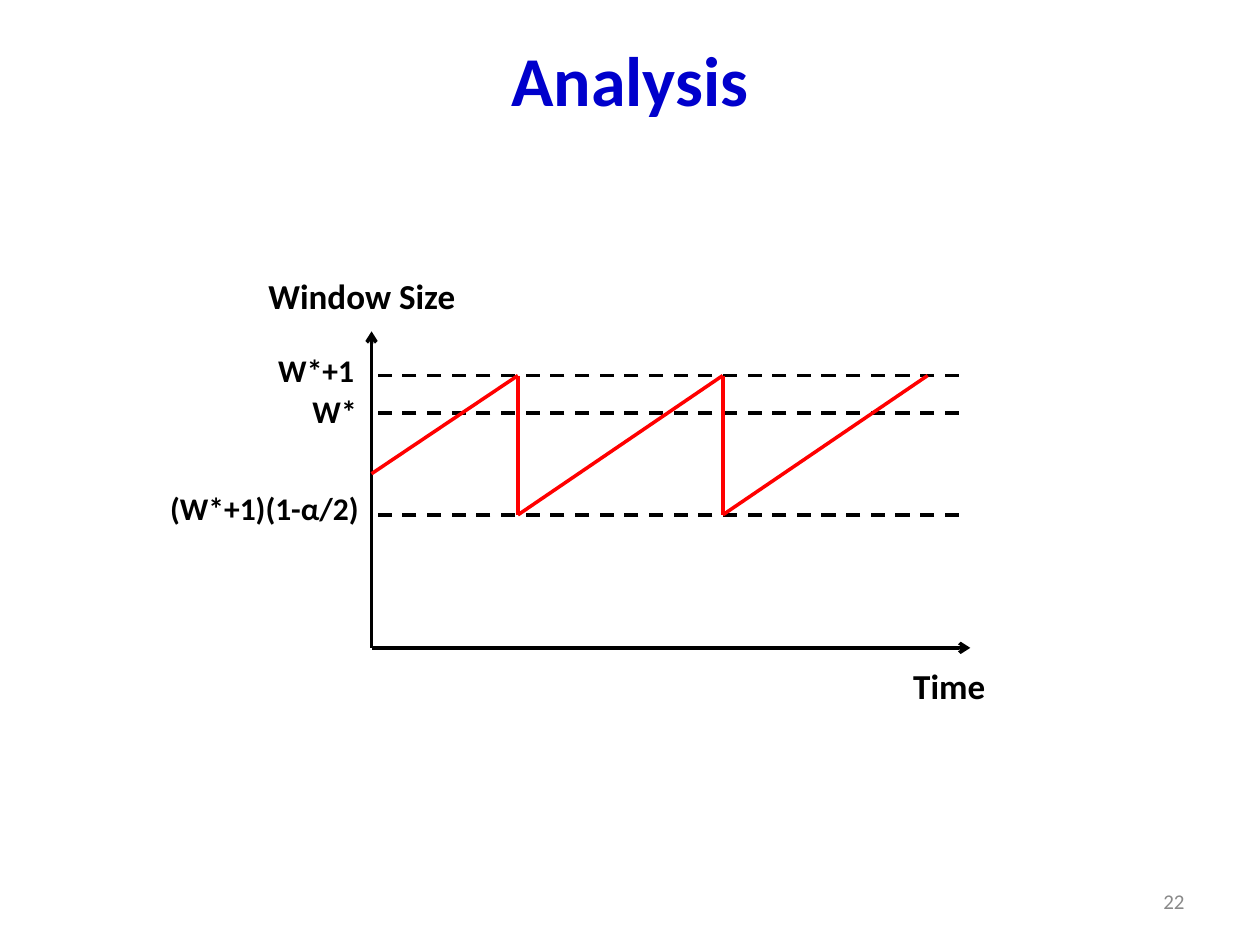
from dataclasses import dataclass
from itertools import pairwise

from lxml.etree import SubElement
from pptx import Presentation
from pptx.dml.color import RGBColor
from pptx.enum.dml import MSO_LINE_DASH_STYLE as Dash
from pptx.enum.shapes import MSO_CONNECTOR as Connector
from pptx.enum.text import MSO_ANCHOR as Anchor, PP_ALIGN as Align
from pptx.oxml.ns import qn
from pptx.shapes.base import BaseShape
from pptx.shapes.shapetree import GroupShapes
from pptx.util import Cm, Pt


@dataclass(frozen=True)
class Theme:
    font: str = "Calibri"
    title: RGBColor = RGBColor(0x00, 0x00, 0xCC)
    ink: RGBColor = RGBColor(0x00, 0x00, 0x00)
    window: RGBColor = RGBColor(0xFF, 0x00, 0x00)
    muted: RGBColor = RGBColor(0x89, 0x89, 0x89)
    title_size: int = 40
    axis_size: int = 20
    level_size: int = 18
    number_size: int = 12
    stroke: int = 2


THEME = Theme()


@dataclass(frozen=True)
class Label:
    text: str
    left: float
    top: float
    width: float
    height: float
    size: int
    color: RGBColor = THEME.ink
    bold: bool = True
    align: Align = Align.LEFT
    anchor: Anchor = Anchor.TOP


@dataclass(frozen=True)
class Line:
    start: tuple[float, float]
    end: tuple[float, float]
    color: RGBColor = THEME.ink
    dashed: bool = False
    arrow: bool = False


def write_label(box: BaseShape, label: Label) -> None:
    places = {"left": label.left, "top": label.top, "width": label.width, "height": label.height}
    for name, value in places.items():
        setattr(box, name, Cm(value))
    frame = box.text_frame
    frame.word_wrap = True
    frame.vertical_anchor = label.anchor
    para = frame.paragraphs[0]
    para.alignment = label.align
    span = para.add_run()
    span.text = label.text
    formats = {"name": THEME.font, "size": Pt(label.size), "bold": label.bold}
    for name, value in formats.items():
        setattr(span.font, name, value)
    span.font.color.rgb = label.color


def add_label(shapes: GroupShapes, label: Label) -> None:
    write_label(shapes.add_textbox(0, 0, 0, 0), label)


def add_line(shapes: GroupShapes, line: Line) -> None:
    points = [Cm(value) for value in (*line.start, *line.end)]
    connector = shapes.add_connector(Connector.STRAIGHT, *points)
    connector.line.width = Pt(THEME.stroke)
    connector.line.color.rgb = line.color
    if line.dashed:
        connector.line.dash_style = Dash.DASH
    properties = connector._element.spPr
    if line.arrow:
        SubElement(properties.find(qn("a:ln")), qn("a:tailEnd"), type="arrow")
    SubElement(properties, qn("a:effectLst"))


ORIGIN = (7.49, 13.06)
PEAK, TARGET, TROUGH = 7.57, 8.33, 10.38
LEVEL_END = 19.33
FIRST_DROP, PERIOD = 10.44, 4.13

AXES = [
    Line(ORIGIN, (ORIGIN[0], 6.68), arrow=True),
    Line(ORIGIN, (19.56, ORIGIN[1]), arrow=True),
]
LEVELS = [
    Line((LEVEL_END, level), (ORIGIN[0], level), dashed=True)
    for level in (PEAK, TARGET, TROUGH)
]
DROPS = [FIRST_DROP + PERIOD * index for index in range(2)]
SAWTOOTH = [
    (ORIGIN[0], 9.55),
    *[(drop, level) for drop in DROPS for level in (PEAK, TROUGH)],
    (FIRST_DROP + 2 * PERIOD, PEAK),
]
WINDOW = [Line(start, end, THEME.window) for start, end in pairwise(SAWTOOTH)]

LABELS = [
    Label("Window Size", 5.16, 5.41, 5.13, 1.12, THEME.axis_size),
    Label("Time", 18.16, 13.28, 4.14, 1.12, THEME.axis_size),
    Label("W*+1", 5.36, 6.96, 4.72, 1.02, THEME.level_size),
    Label("W*", 6.05, 7.77, 2.08, 1.02, THEME.level_size),
    Label("(W*+1)(1-α/2)", 3.18, 9.73, 4.72, 1.02, THEME.level_size),
]
TITLE = Label("Analysis", 1.27, 0, 22.86, 3.18, THEME.title_size, THEME.title,
              align=Align.CENTER, anchor=Anchor.MIDDLE)
NUMBER = Label("22", 18.21, 17.65, 5.92, 1.02, THEME.number_size, THEME.muted,
               bold=False, align=Align.RIGHT, anchor=Anchor.MIDDLE)


def main() -> None:
    deck = Presentation()
    deck.slide_width, deck.slide_height = Cm(25.4), Cm(19.05)
    page = deck.slides.add_slide(deck.slide_layouts[5])
    write_label(page.shapes.title, TITLE)
    add_label(page.shapes, NUMBER)
    diagram = page.shapes.add_group_shape().shapes
    for line in AXES + LEVELS + WINDOW:
        add_line(diagram, line)
    for label in LABELS:
        add_label(diagram, label)
    deck.save("out.pptx")


if __name__ == "__main__":
    main()
